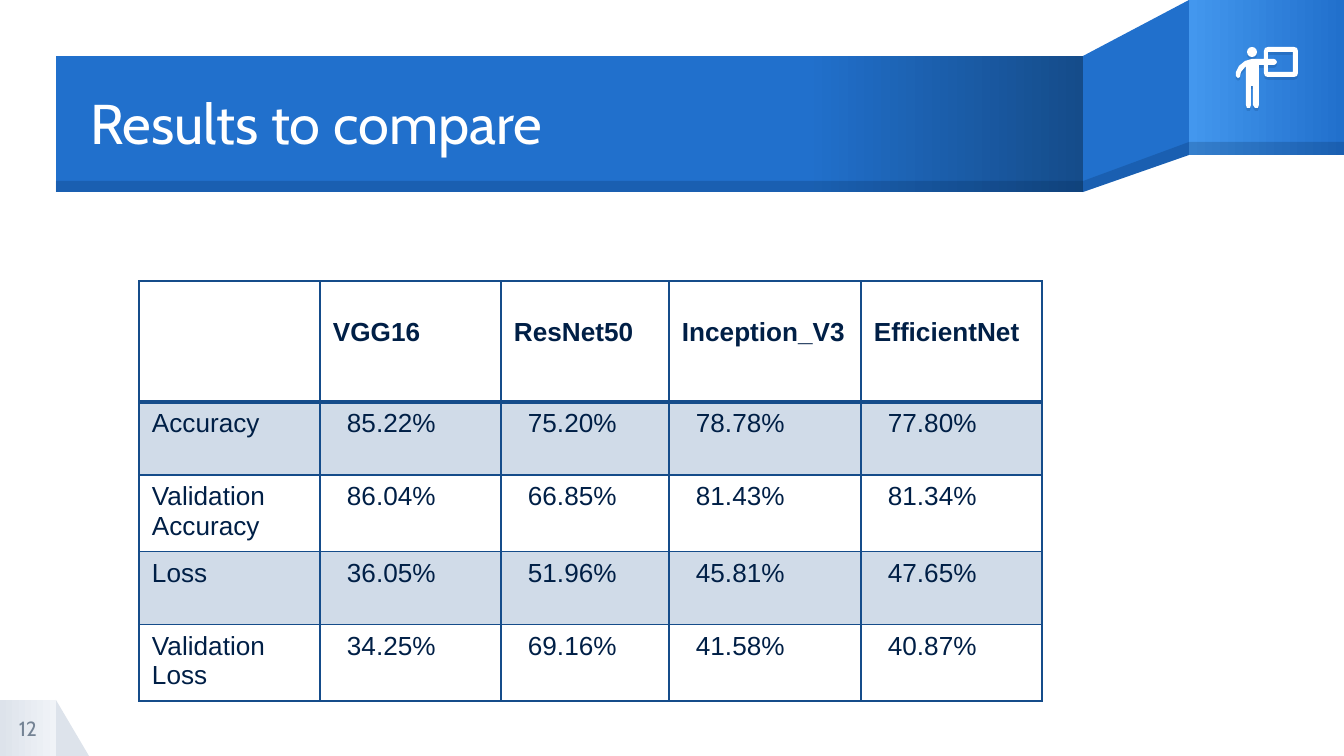
from pptx import Presentation
from pptx import util as u
from pptx.dml.color import RGBColor
from pptx.enum import shapes, text
from pptx.oxml import parse_xml
from pptx.oxml.ns import nsdecls, qn

# Content
TITLE = "Results to compare"
PAGE_NUMBER = "12"
RESULTS = [
    ["", "VGG16", "ResNet50", "Inception_V3", "EfficientNet"],
    ["Accuracy", "85.22%", "75.20%", "78.78%", "77.80%"],
    ["Validation Accuracy", "86.04%", "66.85%", "81.43%", "81.34%"],
    ["Loss", "36.05%", "51.96%", "45.81%", "47.65%"],
    ["Validation Loss", "34.25%", "69.16%", "41.58%", "40.87%"],
]

# Look
COLOURS = {
    "white": "FFFFFF", "ink": "001F46", "blue": "2170CC", "sky": "4397EE",
    "deep": "154C8A", "stripe": "D0DBE8", "fog": "DDE3EB", "mist": "F0F3F7",
    "grey": "748394",
}
TITLE_FONT = {"name": "Cabin", "size": u.Pt(30)}
NUMBER_FONT = {"name": "Cabin", "size": u.Pt(11)}
HEAD_FONT = {"name": "Arial", "size": u.Pt(14), "bold": True}
CELL_FONT = {"name": "Arial", "size": u.Pt(14), "bold": False}

# Geometry in px
PX = 914400 / 134.4
BAND = (56, 56, 1027, 136)
NUMBER_BOX = (0, 700, 56, 56)
TABLE_AT = (139, 281)
COLUMNS = [181, 181, 168, 192, 181]
ROWS = [121, 73, 73, 73, 73]
PAD, LINE, INDENT = 13, 30, 14
RECT = shapes.MSO_SHAPE.RECTANGLE

FOLD = [(1189, 0), (1083, 56), (1083, 192), (1189, 155)]
FOLD_EDGE = [(1189, 142), (1083, 181), (1083, 192), (1189, 155)]
PRESENTER = [
    (1294, 47), (1268, 47), (1265, 48), (1264, 51), (1264, 59), (1252, 59),
    (1245, 61), (1239, 66), (1236, 72), (1236, 76), (1238, 78), (1240, 77),
    (1241, 72), (1246, 66), (1246, 105), (1247, 108), (1250, 108), (1251, 105),
    (1251, 86), (1253, 86), (1253, 105), (1255, 108), (1258, 108), (1259, 105),
    (1259, 65), (1264, 65), (1264, 73), (1265, 76), (1268, 77), (1294, 77),
    (1297, 76), (1298, 73), (1298, 51), (1297, 48),
]
BOARD_HOLE = [
    (1274, 59), (1268, 59), (1268, 52), (1293, 52), (1293, 72), (1268, 72),
    (1268, 65), (1274, 65), (1276, 64), (1277, 62), (1276, 60),
]


def px(*values):
    return [u.Emu(round(value * PX)) for value in values]


def rgb(name):
    return RGBColor.from_string(COLOURS[name])


def paint(shape, colour, alpha=None):
    shape.shadow.inherit = False
    shape.line.fill.background()
    shape.fill.solid()
    shape.fill.fore_color.rgb = rgb(colour)
    if alpha:
        tint = shape._element.spPr.find(qn("a:solidFill"))[0]
        tint.append(parse_xml(f'<a:alpha {nsdecls("a")} val="{alpha * 1000}"/>'))
    return shape


def paint_gradient(shape, stops):
    paint(shape, stops[0][1])
    marks = "".join(f'<a:gs pos="{at * 1000}"><a:srgbClr val="{COLOURS[name]}"/></a:gs>'
                    for at, name in stops)
    properties = shape._element.spPr
    properties.replace(properties.find(qn("a:solidFill")), parse_xml(
        f'<a:gradFill {nsdecls("a")}><a:gsLst>{marks}</a:gsLst>'
        '<a:lin ang="0" scaled="0"/></a:gradFill>'))


def add_preset(page, kind, area):
    return page.shapes.add_shape(kind, *px(*area))


def add_outline(page, *contours):
    builder = page.shapes.build_freeform(*contours[0][0], scale=PX)
    for index, points in enumerate(contours):
        if index:
            builder.move_to(*points[0])
        builder.add_line_segments(points[1:], close=True)
    return builder.convert_to_shape()


def add_icon_shadow(shape):
    shape._element.spPr.find(qn("a:effectLst")).append(parse_xml(
        f'<a:outerShdw {nsdecls("a")} dist="19050" dir="5400000" algn="bl" '
        f'rotWithShape="0"><a:srgbClr val="{COLOURS["ink"]}">'
        '<a:alpha val="15000"/></a:srgbClr></a:outerShdw>'))


def write(frame, words, look, colour):
    para = frame.paragraphs[0]
    span = para.add_run() if words else para
    if words:
        span.text = words
    for key, value in look.items():
        setattr(span.font, key, value)
    span.font.color.rgb = rgb(colour)
    return para


def add_text(page, area, words, look, colour):
    frame = page.shapes.add_textbox(*px(*area)).text_frame
    settings = dict.fromkeys(
        ["margin_left", "margin_top", "margin_right", "margin_bottom"], 0)
    settings.update(word_wrap=True, vertical_anchor=text.MSO_ANCHOR.MIDDLE)
    for key, value in settings.items():
        setattr(frame, key, value)
    return write(frame, words, look, colour)


def add_borders(cell, widths):
    properties = cell._tc.get_or_add_tcPr()
    for index, (side, width) in enumerate(widths.items()):
        properties.insert(index, parse_xml(
            f'<a:ln{side} {nsdecls("a")} w="{u.Pt(width)}"><a:solidFill>'
            f'<a:srgbClr val="{COLOURS["deep"]}"/></a:solidFill></a:ln{side}>'))


def add_results(page):
    size = (sum(COLUMNS), sum(ROWS))
    table = page.shapes.add_table(
        len(ROWS), len(COLUMNS), *px(*TABLE_AT, *size)).table
    table.first_row = table.horz_banding = False
    for column, width in zip(table.columns, px(*COLUMNS)):
        column.width = width
    for row, height in zip(table.rows, px(*ROWS)):
        row.height = height
    for r, values in enumerate(RESULTS):
        for c, words in enumerate(values):
            cell = table.cell(r, c)
            is_value = r > 0 and c > 0
            cell.margin_left, cell.margin_right, cell.margin_top = px(
                PAD + INDENT * is_value, PAD, 7 + LINE * (r == 0))
            write(cell.text_frame, words, CELL_FONT if r else HEAD_FONT, "ink")
            if r % 2:
                cell.fill.solid()
                cell.fill.fore_color.rgb = rgb("stripe")
            else:
                cell.fill.background()
            add_borders(cell, {"L": 1, "R": 1, "T": 2 if r == 1 else 1,
                               "B": 1 if r else 2})


def main():
    deck = Presentation()
    deck.slide_width, deck.slide_height = px(1344, 756)
    page = deck.slides.add_slide(deck.slide_layouts[6])

    # Page number corner
    paint(add_preset(page, shapes.MSO_SHAPE.RIGHT_TRIANGLE, (56, 700, 33, 56)), "fog")
    paint_gradient(add_preset(page, RECT, NUMBER_BOX), [(0, "fog"), (100, "mist")])

    # Folded title ribbon with its darker lower edge
    paint(add_outline(page, FOLD), "blue")
    paint_gradient(add_preset(page, RECT, (1189, 0, 155, 155)),
                   [(0, "sky"), (100, "blue")])
    paint_gradient(add_preset(page, RECT, BAND),
                   [(0, "blue"), (73, "blue"), (100, "deep")])
    paint(add_outline(page, FOLD_EDGE), "ink", 20)
    for area in [(1189, 142, 155, 13), (56, 181, 1027, 11)]:
        paint(add_preset(page, RECT, area), "ink", 20)

    # Title and number
    add_text(page, (90, 58, 993, 136), TITLE, TITLE_FONT, "white").line_spacing = 0.9
    add_text(page, NUMBER_BOX, PAGE_NUMBER, NUMBER_FONT,
             "grey").alignment = text.PP_ALIGN.CENTER

    # Presenter icon
    head = add_preset(page, shapes.MSO_SHAPE.OVAL, (1247, 47, 10, 10))
    for part in (head, add_outline(page, PRESENTER, BOARD_HOLE)):
        add_icon_shadow(paint(part, "white"))

    add_results(page)
    deck.save("out.pptx")


if __name__ == "__main__":
    main()
